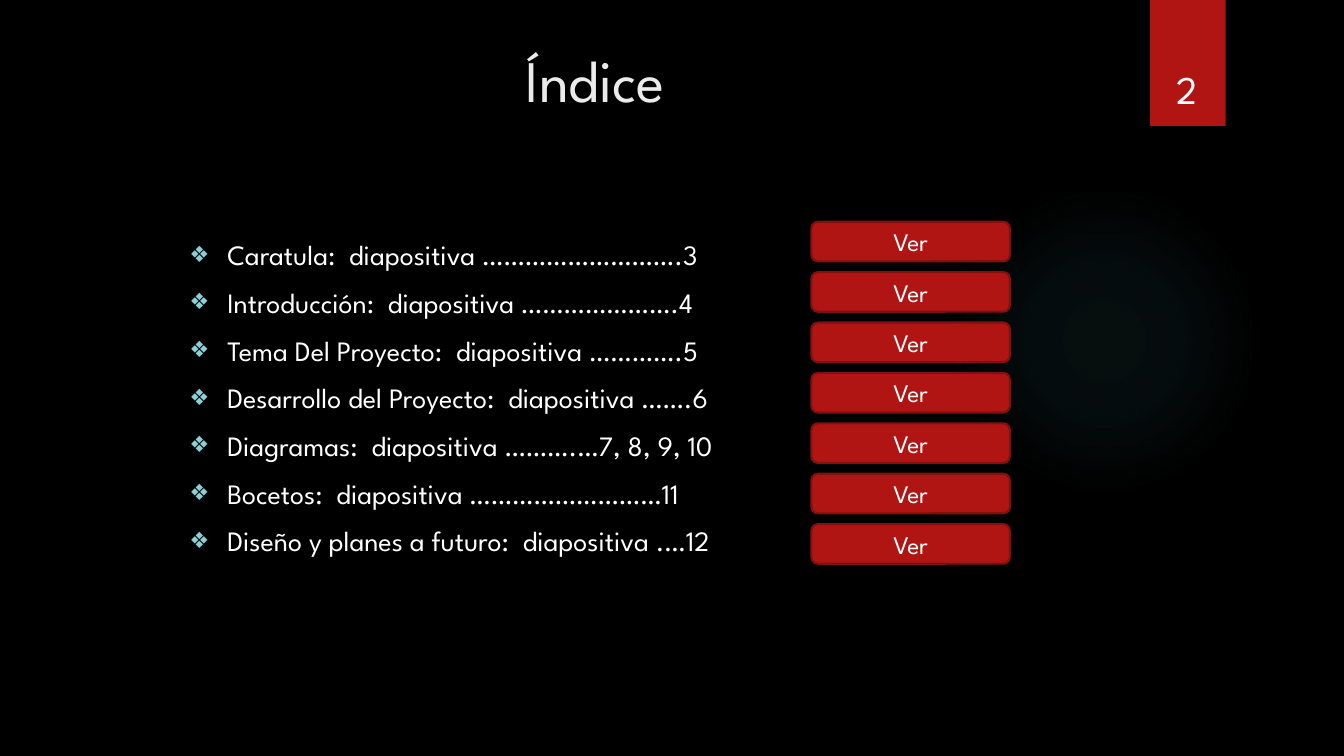
"""Builds the index slide with its entries and link buttons."""
from dataclasses import dataclass

from lxml import etree
from pptx import Presentation
from pptx.dml.color import RGBColor
from pptx.enum.shapes import MSO_SHAPE
from pptx.enum.text import MSO_ANCHOR, MSO_AUTO_SIZE, PP_ALIGN
from pptx.oxml import parse_xml
from pptx.oxml.ns import nsdecls, qn
from pptx.util import Pt

ELLIPSE = MSO_SHAPE.OVAL
RECTANGLE = MSO_SHAPE.RECTANGLE
ROUNDED = MSO_SHAPE.ROUNDED_RECTANGLE
CENTER = PP_ALIGN.CENTER
LEFT = PP_ALIGN.LEFT
TOP = MSO_ANCHOR.TOP
MIDDLE = MSO_ANCHOR.MIDDLE
BOTTOM = MSO_ANCHOR.BOTTOM
NO_AUTOFIT = MSO_AUTO_SIZE.NONE


@dataclass(frozen=True)
class Theme:
    """Holds the colours, font and type sizes."""
    font: str = "League Spartan"
    background: str = "000000"
    title: str = "EBEBEB"
    text: str = "FFFFFF"
    accent: str = "B01513"
    border: str = "82100E"
    bullet: str = "8AD0D6"
    glow: str = "50B9C1"
    title_size: int = 42
    number_size: int = 28
    body_size: int = 20
    button_size: int = 18


THEME = Theme()
GLOW_STOPS = ((0, 7), (36, 6), (69, 0))
ENTRIES = (
    "Caratula:  diapositiva ……………………….3",
    "Introducción:  diapositiva ………………….4",
    "Tema Del Proyecto:  diapositiva ………….5",
    "Desarrollo del Proyecto:  diapositiva …….6",
    "Diagramas:  diapositiva ……….…7, 8, 9, 10",
    "Bocetos:  diapositiva ………………………11",
    "Diseño y planes a futuro:  diapositiva .…12",
)
BUTTON_TOP = 158.4
BUTTON_PITCH = 36


def place(shape, left, top, width, height):
    """Moves and sizes a shape in points."""
    shape.left, shape.top = Pt(left), Pt(top)
    shape.width, shape.height = Pt(width), Pt(height)


def write(paragraph, text, size, color=THEME.text, alignment=CENTER):
    """Adds one formatted run to a paragraph."""
    paragraph.alignment = alignment
    run = paragraph.add_run()
    run.text = text
    run.font.name = THEME.font
    run.font.size = Pt(size)
    run.font.color.rgb = RGBColor.from_string(color)


def set_frame(frame, anchor):
    """Wraps the text and fixes its anchor."""
    frame.word_wrap = True
    frame.auto_size = NO_AUTOFIT
    frame.vertical_anchor = anchor


def add_plain_shape(slide, kind, left, top, width, height):
    """Adds an accent-filled shape without line or shadow."""
    shape = slide.shapes.add_shape(kind, Pt(left), Pt(top), Pt(width), Pt(height))
    shape.shadow.inherit = False
    shape.fill.solid()
    shape.fill.fore_color.rgb = RGBColor.from_string(THEME.accent)
    shape.line.fill.background()
    return shape


def add_glow(slide):
    """Adds the faint radial glow at the right."""
    glow = add_plain_shape(slide, ELLIPSE, 677.5, 131.8, 221.8, 221.8)
    stops = "".join(
        f'<a:gs pos="{position * 1000}"><a:srgbClr val="{THEME.glow}">'
        f'<a:alpha val="{alpha * 1000}"/></a:srgbClr></a:gs>'
        for position, alpha in GLOW_STOPS
    )
    gradient = parse_xml(
        f'<a:gradFill {nsdecls("a")}><a:gsLst>{stops}</a:gsLst><a:path path="circle">'
        '<a:fillToRect l="50000" t="50000" r="50000" b="50000"/></a:path></a:gradFill>'
    )
    properties = glow.element.spPr
    properties.replace(properties.find(qn("a:solidFill")), gradient)


def add_number_tab(slide):
    """Adds the shadowed tab and the slide number on it."""
    tab = add_plain_shape(slide, RECTANGLE, 821.5, 0, 54, 90)
    effects = tab.element.spPr.find(qn("a:effectLst"))
    effects.append(parse_xml(
        f'<a:outerShdw {nsdecls("a")} blurRad="{Pt(3)}" dist="{Pt(2)}" dir="5400000" '
        'rotWithShape="0"><a:srgbClr val="000000"><a:alpha val="45000"/></a:srgbClr></a:outerShdw>'
    ))
    number = slide.shapes.add_textbox(Pt(815), Pt(23), Pt(66.2), Pt(60.5))
    set_frame(number.text_frame, BOTTOM)
    write(number.text_frame.paragraphs[0], "2", THEME.number_size)


def fill_title(slide):
    """Formats the title placeholder."""
    title = slide.shapes.title
    place(title, 54.7, 27.4, 740.9, 110.2)
    set_frame(title.text_frame, TOP)
    write(title.text_frame.paragraphs[0], "Índice", THEME.title_size, THEME.title)


def set_bullet(paragraph):
    """Gives a paragraph the diamond bullet and hanging indent."""
    properties = paragraph._p.get_or_add_pPr()
    properties.set("marL", str(Pt(27)))
    properties.set("indent", str(Pt(-27)))
    color = etree.SubElement(properties, qn("a:buClr"))
    etree.SubElement(color, qn("a:srgbClr"), val=THEME.bullet)
    etree.SubElement(properties, qn("a:buSzPct"), val="80000")
    etree.SubElement(properties, qn("a:buChar"), char="❖")


def fill_entries(slide):
    """Writes the index entries in the body placeholder."""
    body = slide.placeholders[1]
    place(body, 129.6, 158.4, 465.8, 342)
    frame = body.text_frame
    set_frame(frame, TOP)
    frame.margin_left, frame.margin_top = Pt(5.76), Pt(11.5)
    frame.margin_right, frame.margin_bottom = Pt(7.2), Pt(31)
    for index, entry in enumerate(ENTRIES):
        paragraph = frame.add_paragraph() if index else frame.paragraphs[0]
        paragraph.space_before = Pt(10)
        write(paragraph, entry, THEME.body_size, alignment=LEFT)
        set_bullet(paragraph)


def add_button(slide, top):
    """Adds one rounded button."""
    button = add_plain_shape(slide, ROUNDED, 579.6, top, 141.8, 28.3)
    button.line.color.rgb = RGBColor.from_string(THEME.border)
    button.line.width = Pt(1.5)
    set_frame(button.text_frame, MIDDLE)
    write(button.text_frame.paragraphs[0], "Ver", THEME.button_size)


def main():
    """Builds and saves the presentation."""
    presentation = Presentation()
    presentation.slide_width, presentation.slide_height = Pt(960), Pt(540)
    slide = presentation.slides.add_slide(presentation.slide_layouts[1])
    background = slide.background.fill
    background.solid()
    background.fore_color.rgb = RGBColor.from_string(THEME.background)
    add_glow(slide)
    add_number_tab(slide)
    fill_title(slide)
    fill_entries(slide)
    for index in range(len(ENTRIES)):
        add_button(slide, BUTTON_TOP + index * BUTTON_PITCH)
    presentation.save("out.pptx")


if __name__ == "__main__":
    main()
